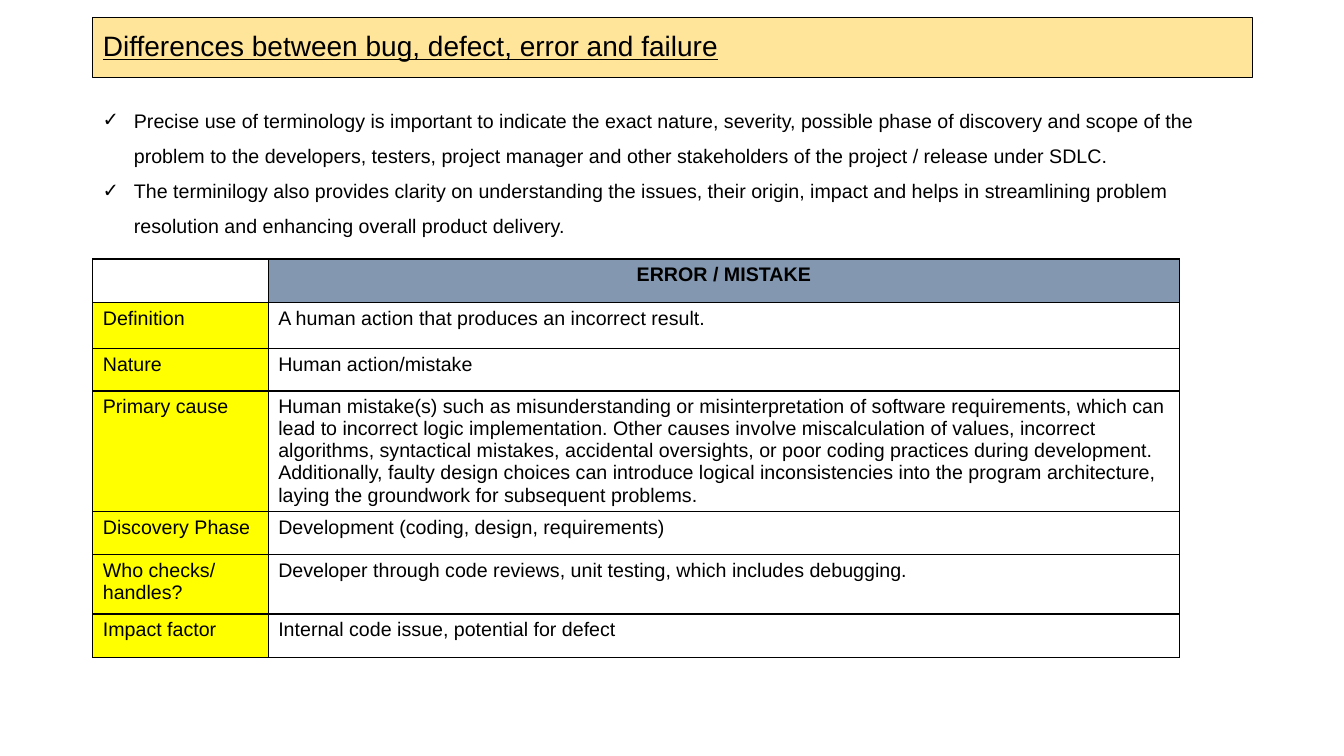
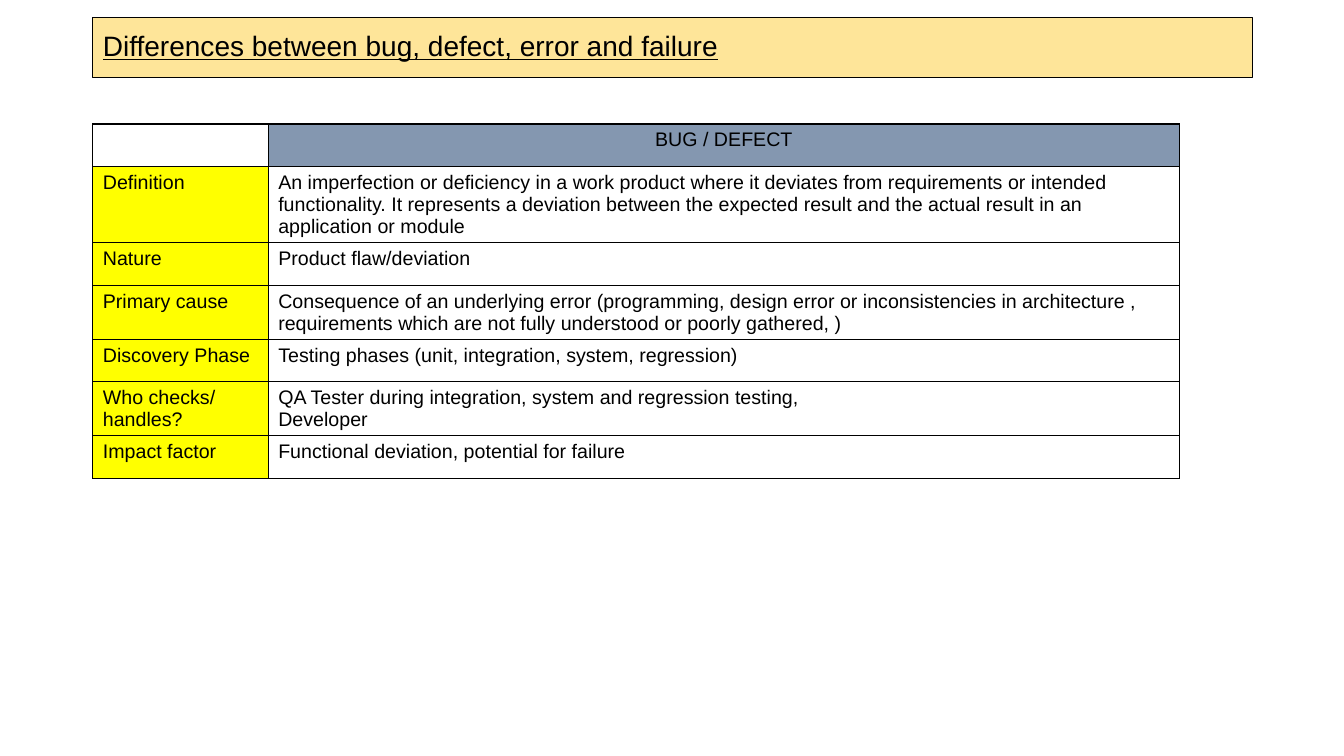
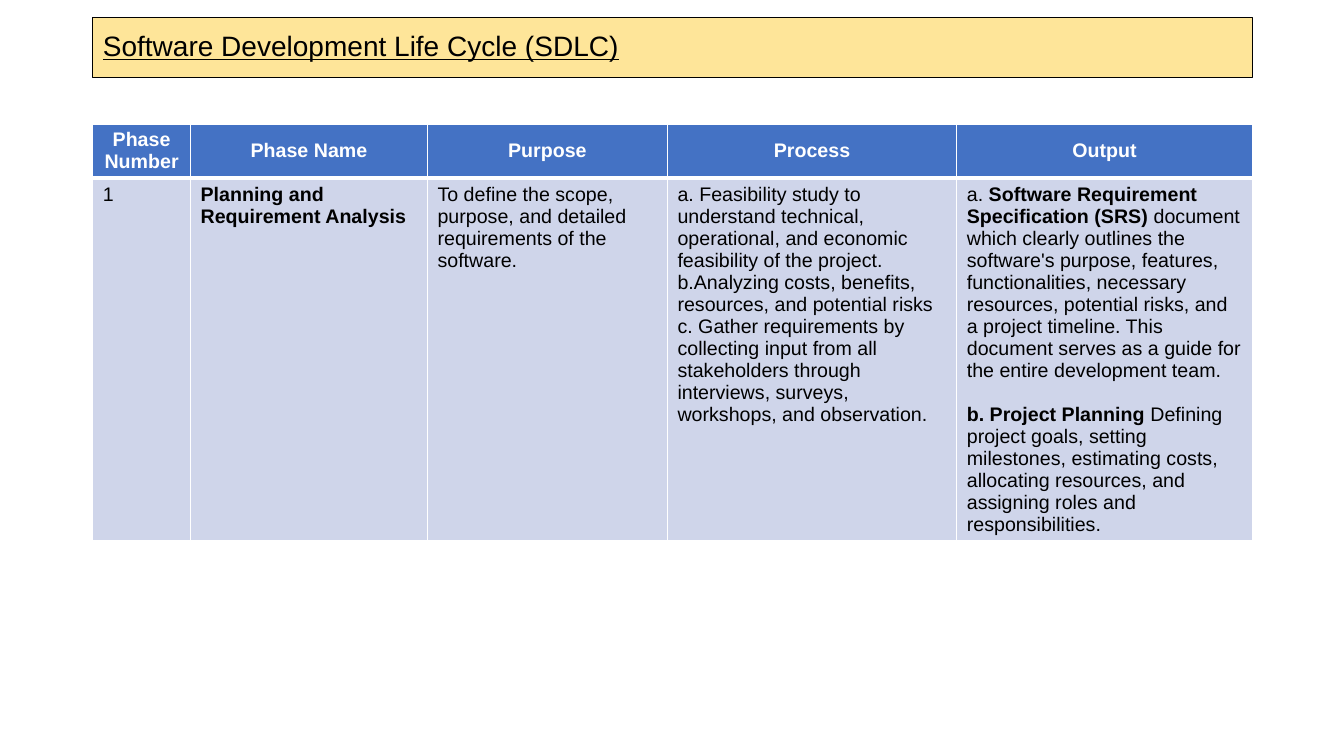
from dataclasses import dataclass

from lxml.etree import SubElement
from pptx import Presentation
from pptx.dml.color import RGBColor as RGB
from pptx.enum.text import MSO_ANCHOR as Anchor
from pptx.enum.text import MSO_AUTO_SIZE as AutoSize
from pptx.enum.text import PP_ALIGN as Align
from pptx.oxml.ns import qn
from pptx.util import Inches, Pt


@dataclass(frozen=True)
class Theme:
    font: str = "Arial"
    title_size: float = 20
    body_size: float = 14
    blank_line: float = 15.7
    ink: str = "000000"
    paper: str = "FFFFFF"
    band: str = "FEE599"
    topic: str = "8497B0"
    label: str = "FFFF00"
    phase_head: str = "4472C4"
    phase_body: str = "CFD5EA"
    left: float = 0.92
    width: float = 11.5
    table_top: float = 1.23


THEME = Theme()
TERMS_TITLE = "Differences between bug, defect, error and failure"
TERM_COLUMNS = [1.74, 9.04]
ASPECTS = ["Definition", "Nature", "Primary cause", "Discovery Phase",
           "Who checks/ handles?", "Impact factor"]

REASONS = [
    "Precise use of terminology is important to indicate the exact nature, severity, "
    "possible phase of discovery and scope of the problem to the developers, testers, "
    "project manager and other stakeholders of the project / release under SDLC.",
    "The terminilogy also provides clarity on understanding the issues, their origin, "
    "impact and helps in streamlining problem resolution and enhancing overall product "
    "delivery.",
]

ERROR_ANSWERS = [
    ["A human action that produces an incorrect result."],
    ["Human action/mistake"],
    ["Human mistake(s) such as misunderstanding or misinterpretation of software "
     "requirements, which can lead to incorrect logic implementation. Other causes "
     "involve miscalculation of values, incorrect algorithms, syntactical mistakes, "
     "accidental oversights, or poor coding practices during development. Additionally, "
     "faulty design choices can introduce logical inconsistencies into the program "
     "architecture, laying the groundwork for subsequent problems."],
    ["Development (coding, design, requirements)"],
    ["Developer through code reviews, unit testing, which includes debugging."],
    ["Internal code issue, potential for defect"],
]

DEFECT_ANSWERS = [
    ["An imperfection or deficiency in a work product where it deviates from requirements "
     "or intended functionality. It represents a deviation between the expected result and "
     "the actual result in an application or module"],
    ["Product flaw/deviation"],
    ["Consequence of an underlying error (programming, design error or inconsistencies in "
     "architecture , requirements which are not fully understood or poorly gathered, )"],
    ["Testing phases (unit, integration, system, regression)"],
    ["QA Tester during integration, system and regression testing,", "Developer"],
    ["Functional deviation, potential for failure"],
]

PHASE_HEADINGS = ["Phase Number", "Phase Name", "Purpose", "Process", "Output"]
PLANNING_PHASE = [
    ["1"],
    ["**Planning and Requirement Analysis**"],
    ["To define the scope, purpose, and detailed requirements of the software."],
    ["a. Feasibility study to understand technical, operational, and economic feasibility "
     "of the project. b.Analyzing costs, benefits, resources, and potential risks",
     "c. Gather requirements by collecting input from all stakeholders through interviews, "
     "surveys, workshops, and observation."],
    ["a. **Software Requirement Specification (SRS) **document which clearly outlines the "
     "software's purpose, features, functionalities, necessary resources, potential risks, "
     "and a project timeline. This document serves as a guide for the entire development "
     "team.",
     "**b. Project Planning **Defining project goals, setting milestones, estimating costs, "
     "allocating resources, and assigning roles and responsibilities."],
]


def add_run(paragraph, text, size=THEME.body_size, color=THEME.ink, bold=False):
    run = paragraph.add_run()
    run.text = text
    run.font.name = THEME.font
    run.font.size = Pt(size)
    run.font.bold = bold
    run.font.color.rgb = RGB.from_string(color)
    return run


def write_paragraphs(frame, texts, color=THEME.ink, align=Align.LEFT):
    for index, text in enumerate(texts):
        paragraph = frame.add_paragraph() if index else frame.paragraphs[0]
        paragraph.alignment = align
        for part, piece in enumerate(text.split("**")):
            if piece:
                add_run(paragraph, piece, color=color, bold=part % 2 == 1)
    return frame.paragraphs


def add_titled_slide(deck, heading):
    slide = deck.slides.add_slide(deck.slide_layouts[5])
    title = slide.shapes.title
    title.left, title.top = Inches(THEME.left), Inches(0.17)
    title.width, title.height = Inches(THEME.width), Inches(0.6)
    title.fill.solid()
    title.fill.fore_color.rgb = RGB.from_string(THEME.band)
    title.line.color.rgb = RGB.from_string(THEME.ink)
    title.line.width = Pt(0.75)
    frame = title.text_frame
    frame.auto_size = AutoSize.NONE
    frame.word_wrap = True
    frame.vertical_anchor = Anchor.MIDDLE
    paragraph = frame.paragraphs[0]
    paragraph.alignment = Align.LEFT
    paragraph.line_spacing = 0.9
    add_run(paragraph, heading, THEME.title_size).font.underline = True
    return slide


def add_checklist(slide, items):
    box = slide.shapes.add_textbox(Inches(THEME.left), Inches(0.91),
                                   Inches(11.47), Inches(1.51))
    frame = box.text_frame
    frame.word_wrap = True
    frame.auto_size = AutoSize.SHAPE_TO_FIT_TEXT
    for paragraph in write_paragraphs(frame, items):
        paragraph.line_spacing = 1.5
        props = paragraph._p.get_or_add_pPr()
        props.set("marL", str(Inches(0.31)))
        props.set("indent", str(-Inches(0.31)))
        SubElement(SubElement(props, qn("a:buClr")), qn("a:srgbClr"), val=THEME.ink)
        SubElement(props, qn("a:buFont"), typeface=THEME.font)
        SubElement(props, qn("a:buChar"), char="✓")


def set_borders(cell, color, **widths):
    props = cell._tc.get_or_add_tcPr()
    for side in "LRTB":
        line = SubElement(props, qn(f"a:ln{side}"), w=str(Pt(widths.get(side, 1))))
        SubElement(SubElement(line, qn("a:solidFill")), qn("a:srgbClr"), val=color)


def add_grid(slide, top, columns, rows):
    table = slide.shapes.add_table(len(rows), len(columns), Inches(THEME.left), Inches(top),
                                   Inches(sum(columns)), Inches(sum(rows))).table
    table.first_row = table.horz_banding = False
    for column, width in zip(table.columns, columns):
        column.width = Inches(width)
    for row, height in zip(table.rows, rows):
        row.height = Inches(height)
    return table


def fill_cell(cell, texts, fill, color=THEME.ink, align=Align.LEFT):
    cell.fill.solid()
    cell.fill.fore_color.rgb = RGB.from_string(fill)
    return write_paragraphs(cell.text_frame, texts, color, align)


def add_term_table(slide, top, term, answers, rows):
    table = add_grid(slide, top, TERM_COLUMNS, rows)
    for cell in table.iter_cells():
        set_borders(cell, THEME.ink)
    fill_cell(table.cell(0, 0), [], THEME.paper)
    fill_cell(table.cell(0, 1), [term], THEME.topic, align=Align.CENTER)
    for row, (aspect, answer) in enumerate(zip(ASPECTS, answers), 1):
        fill_cell(table.cell(row, 0), [aspect], THEME.label)
        fill_cell(table.cell(row, 1), answer, THEME.paper)


def add_phase_table(slide):
    table = add_grid(slide, THEME.table_top, [0.97, 2.35, 2.38, 2.87, 2.93], [0.53, 3.6])
    for column, (heading, content) in enumerate(zip(PHASE_HEADINGS, PLANNING_PHASE)):
        head, body = table.cell(0, column), table.cell(1, column)
        set_borders(head, THEME.paper, B=3)
        set_borders(body, THEME.paper, T=3)
        head.vertical_anchor = Anchor.MIDDLE
        fill_cell(head, [f"**{heading}**"], THEME.phase_head, THEME.paper, Align.CENTER)
        paragraphs = fill_cell(body, content, THEME.phase_body)
    paragraphs[-1].space_before = Pt(THEME.blank_line)


def main():
    deck = Presentation()
    deck.slide_width, deck.slide_height = Inches(13.33), Inches(7.5)

    error_slide = add_titled_slide(deck, TERMS_TITLE)
    add_term_table(error_slide, 2.57, "**ERROR / MISTAKE**", ERROR_ANSWERS,
                   [0.43, 0.46, 0.42, 1.19, 0.43, 0.59, 0.43])
    add_checklist(error_slide, REASONS)

    defect_slide = add_titled_slide(deck, TERMS_TITLE)
    add_term_table(defect_slide, THEME.table_top, "BUG / DEFECT", DEFECT_ANSWERS,
                   [0.42, 0.76, 0.42, 0.53, 0.42, 0.53, 0.42])

    add_phase_table(add_titled_slide(deck, "Software Development Life Cycle (SDLC)"))
    deck.save("out.pptx")


if __name__ == "__main__":
    main()
